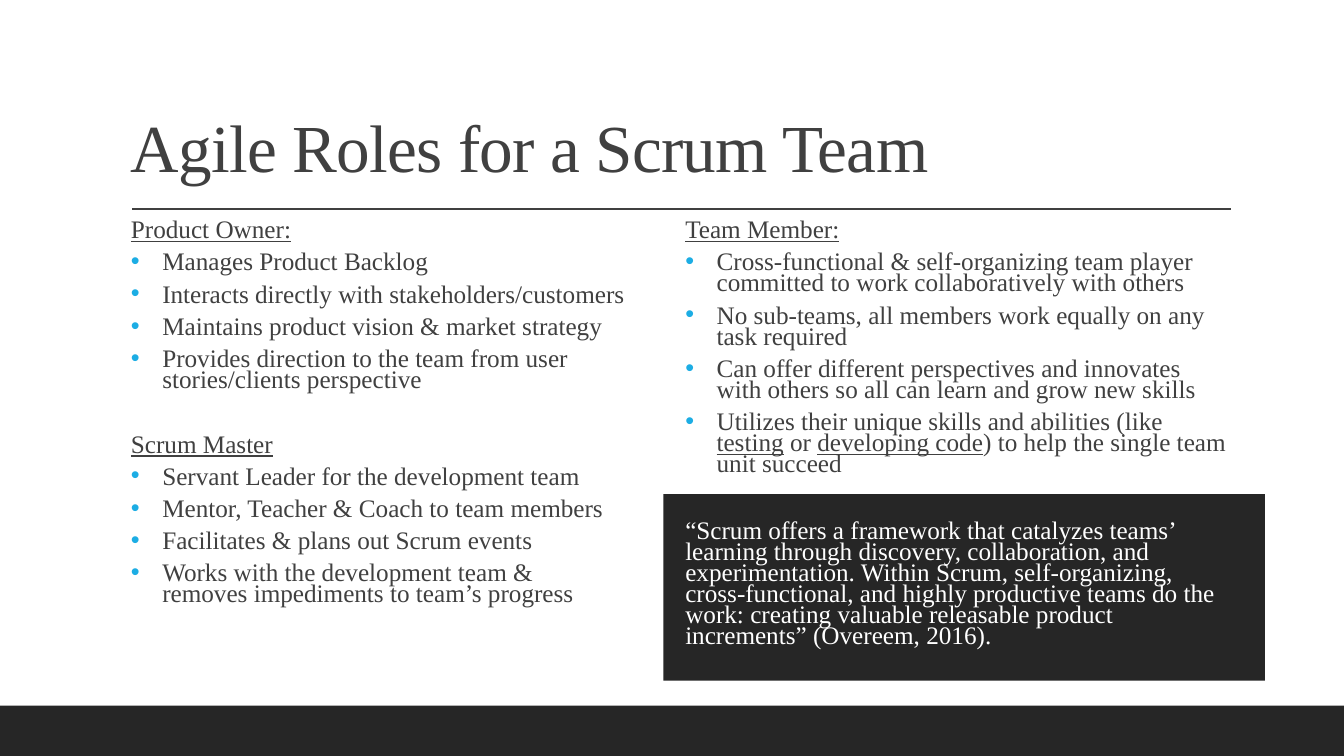
from lxml import etree
from pptx import Presentation
from pptx import util as u
from pptx.dml.color import RGBColor
from pptx.enum import shapes, text
from pptx.oxml import ns

DARK = RGBColor(0x26, 0x26, 0x26)
GREY = RGBColor(0x40, 0x40, 0x40)
BLUE = RGBColor(0x1C, 0xAD, 0xE4)
WHITE = RGBColor(0xFF, 0xFF, 0xFF)

PRODUCT_OWNER = [
    "Manages Product Backlog",
    "Interacts directly with stakeholders/customers",
    "Maintains product vision & market strategy",
    "Provides direction to the team from user stories/clients perspective",
]
SCRUM_MASTER = [
    "Servant Leader for the development team",
    "Mentor, Teacher & Coach to team members",
    "Facilitates & plans out Scrum events",
    "Works with the development team &\nremoves impediments to team’s progress",
]
TEAM_MEMBER = [
    "Cross-functional & self-organizing team player committed to work collaboratively with others",
    "No sub-teams, all members work equally on any task required",
    "Can offer different perspectives and innovates with others so all can learn and grow new skills",
    "Utilizes their unique skills and abilities (like _testing_ or _developing code_) "
    "to help the single team unit succeed",
]
QUOTE = (
    "“Scrum offers a framework that catalyzes teams’ learning through discovery, "
    "collaboration, and experimentation. Within Scrum, self-organizing, cross-functional, "
    "and highly productive teams do the work: creating valuable releasable product "
    "increments” (Overeem, 2016)."
)


def add_bullet(p, color):
    pPr = p._p.get_or_add_pPr()
    pPr.set("marL", str(u.Cm(0.79)))
    pPr.set("indent", str(u.Cm(-0.79)))
    clr = etree.SubElement(pPr, ns.qn("a:buClr"))
    etree.SubElement(clr, ns.qn("a:srgbClr"), val=str(color))
    etree.SubElement(pPr, ns.qn("a:buFont"), typeface="Arial")
    etree.SubElement(pPr, ns.qn("a:buChar"), char="•")


def write(tf, content, font="Times New Roman", size=18, color=GREY, bullet=None,
          line=u.Pt(15), before=6, after=2, spacing=None):
    first = not tf.paragraphs[0].runs
    p = tf.paragraphs[0] if first else tf.add_paragraph()
    if bullet is not None:
        add_bullet(p, bullet)
    p.alignment = text.PP_ALIGN.LEFT
    p.line_spacing = line
    p.space_before = u.Pt(0 if first else before)
    p.space_after = u.Pt(after)
    for i, part in enumerate(content.split("_")):
        for j, piece in enumerate(part.split("\n")):
            if j:
                p.add_line_break()
            if not piece:
                continue
            r = p.add_run()
            r.text = piece
            r.font.name = font
            r.font.size = u.Pt(size)
            r.font.color.rgb = color
            r.font.underline = i % 2 == 1
            if spacing is not None:
                r._r.get_or_add_rPr().set("spc", str(int(spacing * 100)))


class Deck:
    def __init__(self):
        self.prs = Presentation()
        self.prs.slide_width = u.Cm(33.87)
        self.prs.slide_height = u.Cm(19.05)
        self.s = self.prs.slides.add_slide(self.prs.slide_layouts[6])

    def rect(self, x, y, w, h, color=DARK):
        sp = self.s.shapes.add_shape(
            shapes.MSO_SHAPE.RECTANGLE, u.Cm(x), u.Cm(y), u.Cm(w), u.Cm(h))
        sp.shadow.inherit = False
        sp.fill.solid()
        sp.fill.fore_color.rgb = color
        sp.line.fill.background()
        tf = sp.text_frame
        tf.word_wrap = True
        tf.vertical_anchor = text.MSO_ANCHOR.TOP
        return tf

    def box(self, x, y, w, h, anchor=text.MSO_ANCHOR.TOP, right=0.0):
        sp = self.s.shapes.add_textbox(u.Cm(x), u.Cm(y), u.Cm(w), u.Cm(h))
        tf = sp.text_frame
        tf.word_wrap = True
        tf.vertical_anchor = anchor
        tf.margin_right = u.Cm(right)
        return tf

    def rule(self, x1, x2, y, color=GREY):
        cx = self.s.shapes.add_connector(
            shapes.MSO_CONNECTOR.STRAIGHT, u.Cm(x1), u.Cm(y), u.Cm(x2), u.Cm(y))
        cx.line.color.rgb = color
        cx.line.width = u.Pt(1)
        etree.SubElement(cx._element.spPr, ns.qn("a:effectLst"))

    def role(self, tf, name, duties, before=6):
        write(tf, f"_{name}_", before=before)
        for duty in duties:
            write(tf, duty, bullet=BLUE)


def main():
    deck = Deck()
    deck.rect(0, 17.78, 33.87, 1.27)
    deck.rule(3.33, 31.01, 5.27)
    deck.rect(16.72, 12.45, 15.16, 4.7)

    title = deck.box(3.05, 0.79, 27.94, 4.04, anchor=text.MSO_ANCHOR.BOTTOM, right=0.25)
    write(title, "Agile Roles for a Scrum Team", size=48, line=0.9, after=0, spacing=-0.5)

    left = deck.box(3.05, 5.49, 13.89, 11)
    deck.role(left, "Product Owner:", PRODUCT_OWNER)
    deck.role(left, "Scrum Master", SCRUM_MASTER, before=29)

    right = deck.box(17.02, 5.49, 13.89, 6.91)
    deck.role(right, "Team Member:", TEAM_MEMBER)

    write(deck.rect(17.02, 13.08, 14.3, 3.48), QUOTE, color=WHITE, after=0)
    deck.prs.save("out.pptx")


if __name__ == "__main__":
    main()
